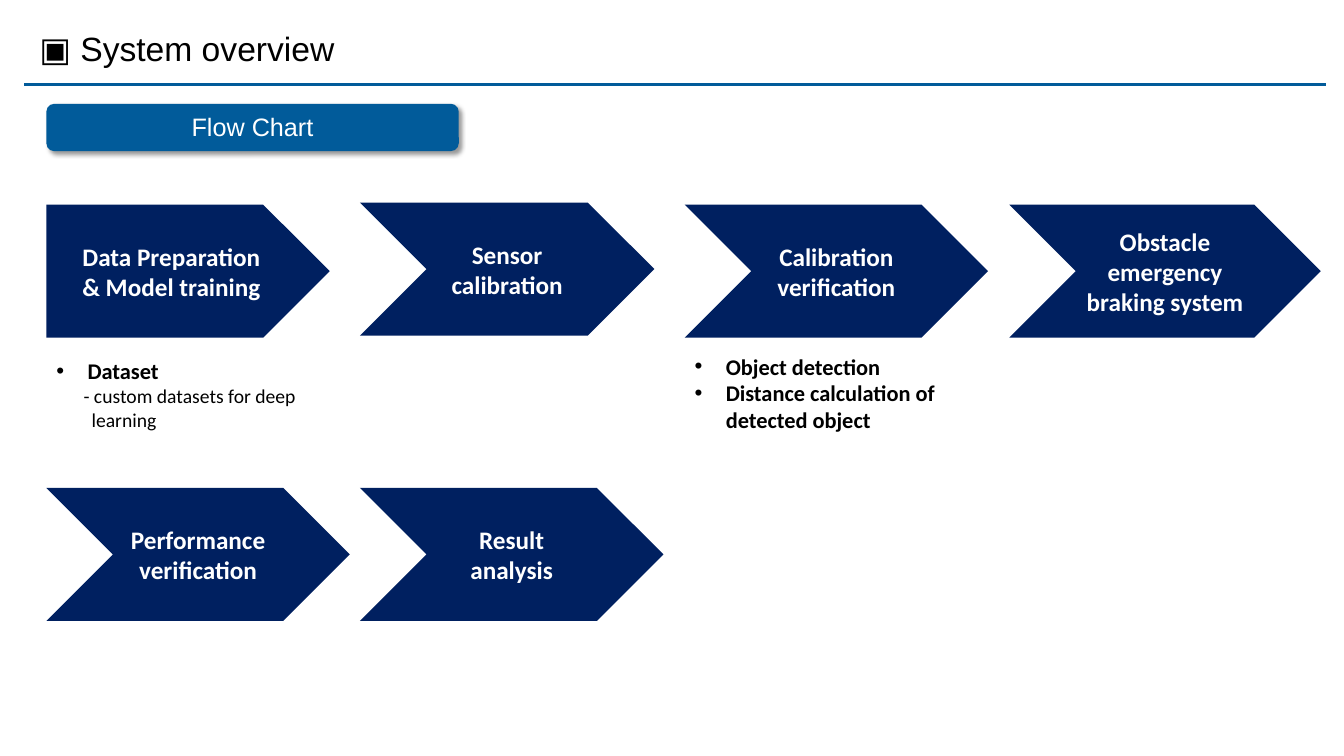
from lxml.etree import SubElement
from pptx import Presentation
from pptx.dml.color import RGBColor
from pptx.enum.shapes import MSO_CONNECTOR, MSO_SHAPE
from pptx.enum.text import MSO_ANCHOR as Anchor, MSO_AUTO_SIZE as AutoSize, PP_ALIGN as Align
from pptx.oxml.ns import qn
from pptx.util import Inches, Pt

COLORS = {"blue": "015B9A", "navy": "002060", "white": "FFFFFF", "black": "000000"}
COLUMNS = [0.46, 3.57, 6.79, 10.01]
ROWS = [2.03, 4.84]
STEP_HEIGHT = 1.32


def write(shape, lines, font="Calibri", size=18, color="white", bold=False,
          align=Align.CENTER, anchor=Anchor.MIDDLE, bullet=False,
          margin=0, indent=0, spacing=None, append=False):
    frame = shape.text_frame
    frame.word_wrap = True
    frame.auto_size = AutoSize.NONE
    frame.vertical_anchor = anchor
    for number, line in enumerate(lines):
        paragraph = frame.add_paragraph() if append or number else frame.paragraphs[0]
        paragraph.alignment = align
        properties = paragraph._p.get_or_add_pPr()
        properties.set("marL", str(Inches(margin)))
        properties.set("indent", str(Inches(indent)))
        if bullet:
            SubElement(properties, qn("a:buFont"), typeface="Arial")
            SubElement(properties, qn("a:buChar"), char="•")
        if spacing:
            paragraph.line_spacing = spacing
        run = paragraph.add_run()
        run.text = line
        run.font.name = font
        run.font.size = Pt(size)
        run.font.bold = bold
        run.font.color.rgb = RGBColor.from_string(COLORS[color])


def add_block(kind, left, top, width, height, color):
    shape = slide.shapes.add_shape(
        kind, Inches(left), Inches(top), Inches(width), Inches(height))
    shape.shadow.inherit = False
    shape.fill.solid()
    shape.fill.fore_color.rgb = RGBColor.from_string(COLORS[color])
    shape.line.fill.background()
    return shape


presentation = Presentation()
presentation.slide_width = Inches(13.33)
presentation.slide_height = Inches(7.5)
slide = presentation.slides.add_slide(presentation.slide_layouts[5])

rule = slide.shapes.add_connector(
    MSO_CONNECTOR.STRAIGHT, Inches(0.24), Inches(0.84), Inches(13.15), Inches(0.84))
rule.line.color.rgb = RGBColor.from_string(COLORS["blue"])
rule.line.width = Pt(2.25)
SubElement(rule._element.spPr, qn("a:effectLst"))

title = slide.shapes.title
title.left, title.top = Inches(0.29), Inches(0.23)
title.width, title.height = Inches(6.57), Inches(0.5)
write(title, ["▣ System overview"], font="Arial", size=24, color="black",
      align=Align.LEFT, anchor=Anchor.TOP)

heading = add_block(MSO_SHAPE.ROUNDED_RECTANGLE, COLUMNS[0], 1.03, 4.09, 0.47, "blue")
heading_frame = heading.text_frame
heading_frame.margin_left = heading_frame.margin_right = Inches(0.04)
heading_frame.margin_top, heading_frame.margin_bottom = Inches(0.02), Inches(0.04)
write(heading, ["Flow Chart"], font="Arial")
effects = heading._element.spPr.find(qn("a:effectLst"))
shadow = SubElement(effects, qn("a:outerShdw"), blurRad=str(Pt(3)), dist=str(Pt(3)),
                    dir=str(45 * 60000), algn="tl", rotWithShape="0")
shadow_color = SubElement(shadow, qn("a:srgbClr"), val=COLORS["black"])
SubElement(shadow_color, qn("a:alpha"), val="40000")

steps = [
    (MSO_SHAPE.PENTAGON, COLUMNS[0], ROWS[0], 2.81, ["Data Preparation", "& Model training"]),
    (MSO_SHAPE.CHEVRON, COLUMNS[1], ROWS[0] - 0.02, 2.92, ["Sensor calibration"]),
    (MSO_SHAPE.CHEVRON, COLUMNS[2], ROWS[0], 3.01, ["Calibration verification"]),
    (MSO_SHAPE.CHEVRON, COLUMNS[3], ROWS[0], 3.09, ["Obstacle emergency braking system"]),
    (MSO_SHAPE.CHEVRON, COLUMNS[0], ROWS[1], 3.01, ["Performance verification"]),
    (MSO_SHAPE.CHEVRON, COLUMNS[1], ROWS[1], 3.01, ["Result analysis"]),
]
for kind, left, top, width, lines in steps:
    write(add_block(kind, left, top, width, STEP_HEIGHT, "navy"), lines, bold=True)

note_format = dict(color="black", align=Align.LEFT, anchor=Anchor.TOP)
bullet_format = dict(note_format, size=16, bold=True, bullet=True, margin=0.31, indent=-0.31)

dataset_note = slide.shapes.add_textbox(
    Inches(COLUMNS[0]), Inches(3.36), Inches(2.72), Inches(0.98))
write(dataset_note, ["Dataset"], spacing=1.5, **bullet_format)
for line, margin in [("- custom datasets for deep", 0.27), ("learning", 0.35)]:
    write(dataset_note, [line], size=14, margin=margin, append=True, **note_format)

detection_note = slide.shapes.add_textbox(
    Inches(COLUMNS[2]), Inches(3.45), Inches(3.01), Inches(0.91))
write(detection_note, ["Object detection", "Distance calculation of detected object"],
      **bullet_format)

presentation.save("out.pptx")
